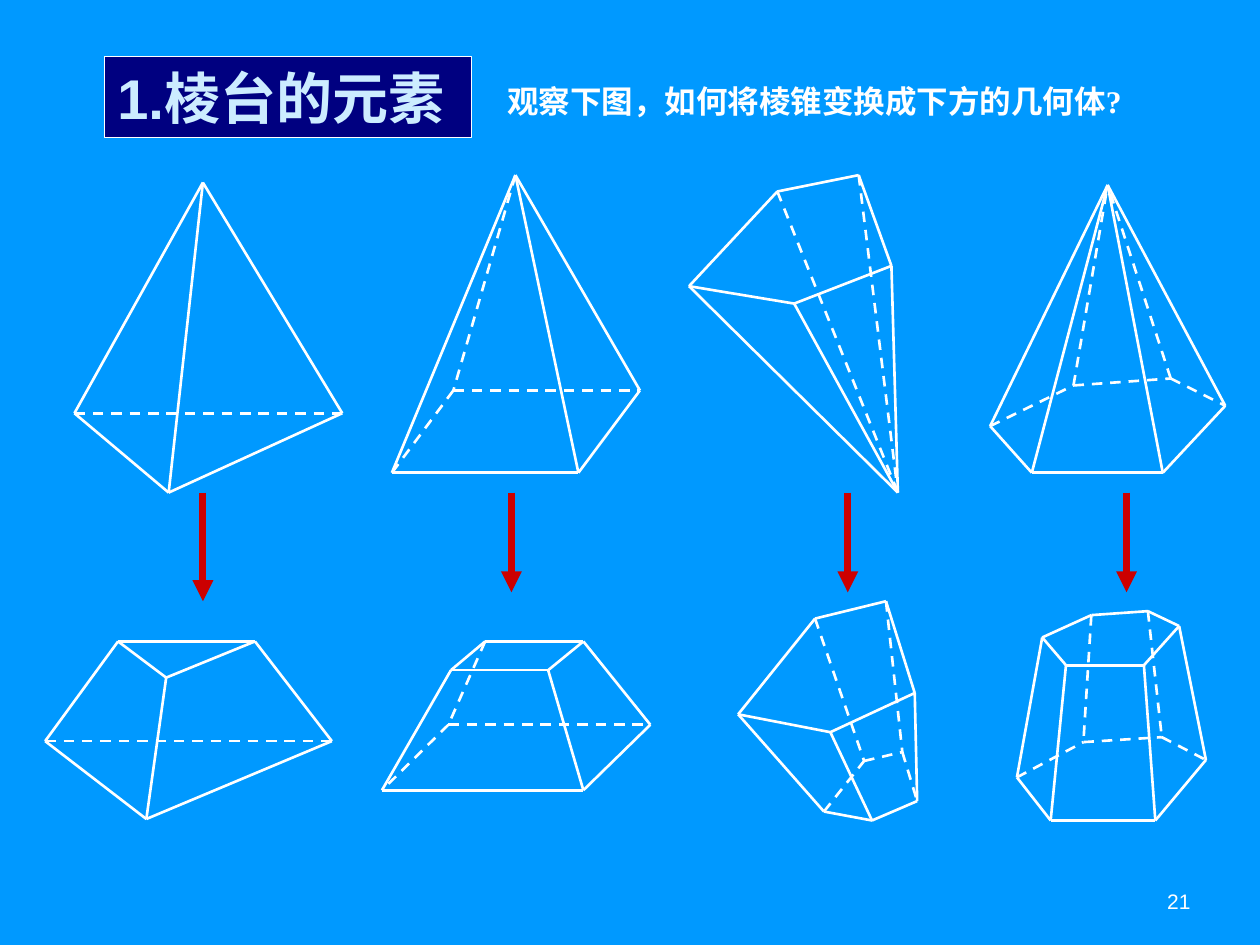
from lxml.etree import SubElement
from pptx import Presentation
from pptx.dml.color import RGBColor
from pptx.enum.dml import MSO_LINE
from pptx.enum.shapes import MSO_CONNECTOR
from pptx.enum.text import MSO_ANCHOR, MSO_AUTO_SIZE, PP_ALIGN
from pptx.oxml.ns import qn
from pptx.util import Cm, Pt


def paint(fmt, tint):
    """Set a font, fill or line to a hex colour."""
    if hasattr(fmt, "solid"):
        fmt.solid()
        fmt.fore_color.rgb = RGBColor.from_string(tint)
    else:
        fmt.color.rgb = RGBColor.from_string(tint)


def draw(shapes, start, end, tint, width):
    """Add a plain straight line between two points in cm."""
    line = shapes.add_connector(MSO_CONNECTOR.STRAIGHT, *map(Cm, start + end))
    paint(line.line, tint)
    line.line.width = Pt(width)
    SubElement(line._element.spPr, qn("a:effectLst"))
    return line


deck = Presentation()
deck.slide_width, deck.slide_height = Cm(25.4), Cm(19.05)
slide = deck.slides.add_slide(deck.slide_layouts[5])
paint(slide.background.fill, "0099FF")

# Solids: corner points in cm, visible edges, hidden edges
solids = [
    # Pyramids, top row
    (dict(T=(4.09, 3.68), A=(1.5, 8.33), B=(3.4, 9.93), C=(6.9, 8.33)),
     "AB BC TA TB TC", "AC"),
    (dict(T=(10.39, 3.53), A=(7.9, 9.53), B=(11.66, 9.53), C=(12.9, 7.87),
          D=(9.14, 7.87)),
     "TA TB TC AB BC", "TD DC DA"),
    (dict(T=(18.1, 9.93), A=(13.89, 5.77), B=(15.67, 3.86), C=(17.31, 3.53),
          D=(17.97, 5.36), E=(16.01, 6.12)),
     "AB BC CD AE ED TA TD TE", "BT CT"),
    (dict(T=(22.33, 3.73), A=(19.96, 8.59), B=(20.8, 9.53), C=(23.44, 9.53),
          D=(24.7, 8.18), E=(23.6, 7.63), F=(21.64, 7.77)),
     "AB BC CD TA TB TC TD", "AF FE ED ET FT"),
    # Frustums, bottom row
    (dict(A=(0.91, 14.94), B=(2.95, 16.51), C=(6.69, 14.94),
          a=(2.38, 12.93), b=(3.35, 13.66), c=(5.14, 12.93)),
     "AB BC ab bc ac aA bB cC", "AC"),
    (dict(A=(7.7, 15.93), B=(11.76, 15.93), C=(13.11, 14.61), D=(9.04, 14.61),
          a=(9.09, 13.51), b=(11.05, 13.51), c=(11.76, 12.93), d=(9.78, 12.93)),
     "AB BC ab bc cd ad aA bB cC", "DC DA dD"),
    (dict(A=(14.88, 14.4), B=(16.43, 12.47), C=(17.86, 12.12), D=(18.44, 13.97),
          E=(16.74, 14.76), a=(16.61, 16.36), b=(17.42, 15.34), c=(18.19, 15.16),
          d=(18.49, 16.15), e=(17.58, 16.54)),
     "AB BC CD AE ED ae ed Aa Dd Ee", "ab bc cd Bb Cc"),
    (dict(A=(20.5, 15.67), B=(21.18, 16.54), C=(23.29, 16.54), D=(24.31, 15.32),
          E=(23.42, 14.86), F=(21.84, 14.96), a=(21.01, 12.85), b=(21.49, 13.41),
          c=(23.06, 13.41), d=(23.77, 12.62), e=(23.14, 12.32), f=(22, 12.4)),
     "AB BC CD ab bc cd de ef fa aA bB cC dD", "AF FE ED eE fF"),
]
for points, seen, hidden in solids:
    group = slide.shapes.add_group_shape()
    for edges, dash in ((seen, MSO_LINE.SOLID), (hidden, MSO_LINE.DASH)):
        for start, end in edges.split():
            edge = draw(group.shapes, points[start], points[end], "FFFFFF", 1.5)
            edge.line.dash_style = dash

# Arrows from each pyramid to its frustum
for x, foot in ((4.09, 12.12), (10.31, 11.94), (17.09, 11.94), (22.71, 11.94)):
    arrow = draw(slide.shapes, (x, 9.93), (x, foot), "CC0000", 4)
    SubElement(arrow.line._get_or_add_ln(), qn("a:tailEnd"), type="triangle")

# Title, question and page number
title = slide.shapes.title
paint(title.fill, "000080")
paint(title.line, "FFFFFF")
title.line.width = Pt(0.75)
quiz = slide.shapes.add_textbox(0, 0, 0, 0)
page = slide.shapes.add_textbox(0, 0, 0, 0)

arial, times = "Arial", "Times New Roman"
texts = [
    (title, (2.11, 1.14, 7.39, 1.63), [("1.棱台的元素", arial)], "CCECFF",
     dict(size=Pt(32), bold=True), PP_ALIGN.LEFT, True),
    (quiz, (9.98, 1.52, 13.03, 1.02),
     [("观察下图", arial), ("，", times),
      ("如何将棱锥变换成下方的几何体", arial), ("?", times)], "FFFFFF",
     dict(size=Pt(18), bold=True), PP_ALIGN.LEFT, False),
    (page, (18.21, 17.65, 5.92, 1.02), [("21", arial)], "FFFFFF",
     dict(size=Pt(12), bold=False), PP_ALIGN.RIGHT, True),
]
for box, place, runs, tint, style, align, wrap in texts:
    box.left, box.top, box.width, box.height = map(Cm, place)
    frame = box.text_frame
    layout = dict(word_wrap=wrap, auto_size=MSO_AUTO_SIZE.NONE,
                  vertical_anchor=MSO_ANCHOR.MIDDLE)
    for key, value in layout.items():
        setattr(frame, key, value)
    para = frame.paragraphs[0]
    para.alignment = align
    for words, face in runs:
        run = para.add_run()
        run.text = words
        paint(run.font, tint)
        for key, value in dict(style, name=face).items():
            setattr(run.font, key, value)
page.text_frame.margin_left = page.text_frame.margin_right = Cm(0.13)

deck.save("out.pptx")
